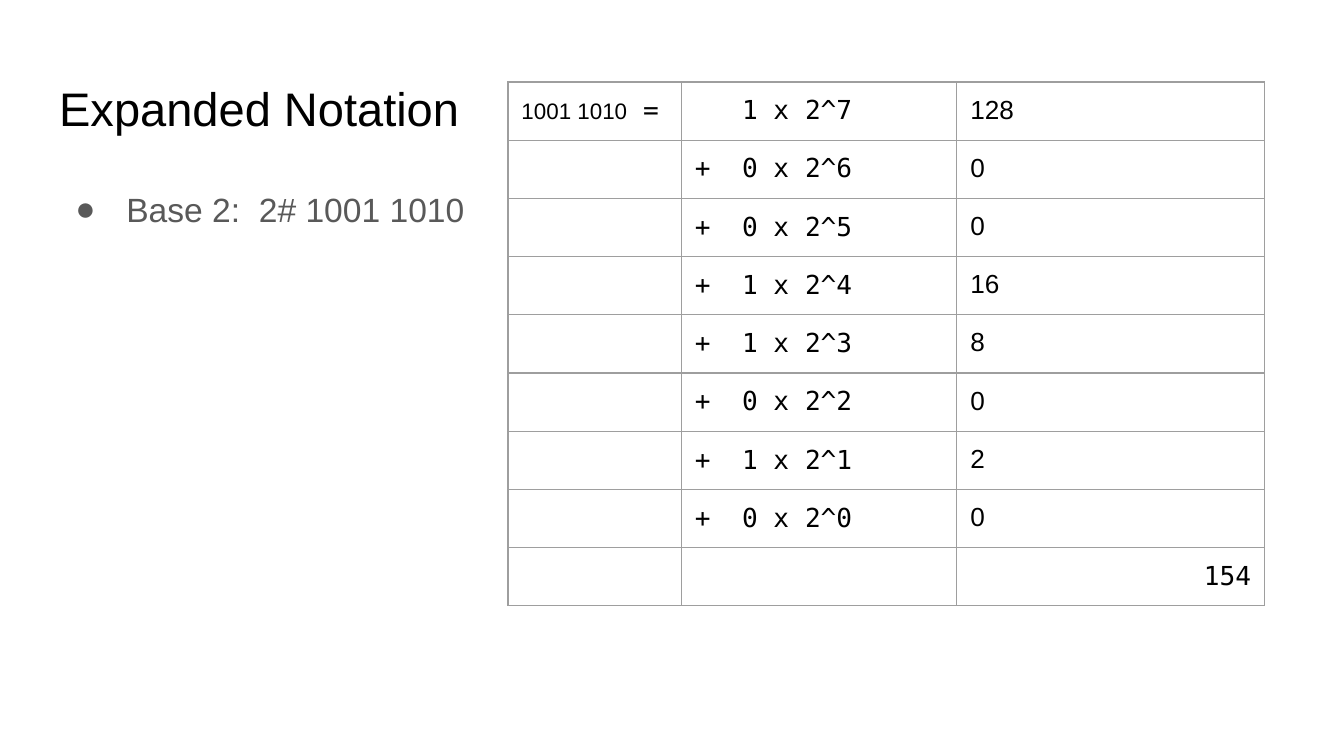
from lxml import etree
from pptx import Presentation
from pptx import util as u
from pptx.dml.color import RGBColor
from pptx.enum import text
from pptx.oxml import ns

BLACK = RGBColor(0x00, 0x00, 0x00)
GREY = RGBColor(0x59, 0x59, 0x59)
BORDER = RGBColor(0x9E, 0x9E, 0x9E)
SANS, MONO = "Arial", "DejaVu Sans Mono"
BITS = "10011010"
INSETS = {f"margin_{side}": u.Inches(0.1) for side in ("left", "top", "right", "bottom")}


def apply(obj, values):
    """Set each attribute of obj named in values."""
    for name, value in values.items():
        setattr(obj, name, value)


def sub(parent, tag, **attrs):
    """Append a DrawingML child element and return it."""
    return etree.SubElement(parent, ns.qn(f"a:{tag}"), attrs)


def add_run(p, words, font, size, color=BLACK):
    """Add a formatted run to paragraph p."""
    r = p.add_run()
    r.text = words
    apply(r.font, {"name": font, "size": u.Pt(size), "bold": False})
    r.font.color.rgb = color


def fill_placeholder(sp, box, words, size, color, spacing):
    """Place a text placeholder in box and return its formatted paragraph."""
    apply(sp, dict(zip(("left", "top", "width", "height"), map(u.Inches, box))))
    tf = sp.text_frame
    apply(tf, {**INSETS, "word_wrap": True, "auto_size": text.MSO_AUTO_SIZE.NONE,
               "vertical_anchor": text.MSO_ANCHOR.TOP})
    p = tf.paragraphs[0]
    apply(p, {"alignment": text.PP_ALIGN.LEFT, "line_spacing": spacing,
              "space_before": u.Pt(0), "space_after": u.Pt(0)})
    add_run(p, words, SANS, size, color)
    return p


def add_title(s, box):
    """Fill the title placeholder."""
    fill_placeholder(s.shapes.title, box, "Expanded Notation", 25.2, BLACK, 1.0)


def add_body(s, box):
    """Fill the body placeholder with its bulleted line."""
    p = fill_placeholder(s.placeholders[1], box, "Base 2:  2# 1001 1010", 18, GREY, 1.15)
    pPr = p._p.get_or_add_pPr()
    pPr.set("marL", str(u.Inches(0.5)))
    pPr.set("indent", str(u.Inches(-0.38)))
    sub(sub(pPr, "buClr"), "srgbClr", val=str(GREY))
    sub(pPr, "buFont", typeface=SANS)
    sub(pPr, "buChar", char="●")


def format_cell(cell, runs):
    """Give a cell its insets, borders and runs."""
    apply(cell, {**INSETS, "vertical_anchor": text.MSO_ANCHOR.TOP})
    tcPr = cell._tc.get_or_add_tcPr()
    for edge in ("lnL", "lnR", "lnT", "lnB"):
        ln = sub(tcPr, edge, w=str(u.Pt(0.75)))
        sub(sub(ln, "solidFill"), "srgbClr", val=str(BORDER))
    cell.fill.background()
    p = cell.text_frame.paragraphs[0]
    for run in runs:
        add_run(p, *run)
    if not runs:
        sub(sub(p._p, "endParaRPr", sz="1400"), "latin", typeface=SANS)


def expansion_rows():
    """Return the runs of each cell, one table row per bit and one for the total."""
    rows, total = [], 0
    for i, bit in enumerate(BITS):
        power = len(BITS) - 1 - i
        value = int(bit) * 2 ** power
        total += value
        label = [] if i else [("1001 1010", SANS, 12), (" =", MONO, 14)]
        term = f"{'+' if i else ' '}  {bit} x 2^{power}"
        rows.append([label, [(term, MONO, 14)], [(str(value), SANS, 14)]])
    return rows + [[[], [], [(str(total), MONO, 14)]]]


def add_expansion(s, left, top, widths, height):
    """Add the table that expands the binary number."""
    rows = expansion_rows()
    tbl = s.shapes.add_table(len(rows), len(widths), u.Inches(left), u.Inches(top),
                             u.Inches(sum(widths)), u.Inches(height)).table
    apply(tbl, {"first_row": False, "horz_banding": False})
    for col, width in zip(tbl.columns, widths):
        col.width = u.Inches(width)
    for row, cells in zip(tbl.rows, rows):
        row.height = u.Inches(height / len(rows))
        for cell, runs in zip(row.cells, cells):
            format_cell(cell, runs)
    total = tbl.cell(len(rows) - 1, len(widths) - 1)
    total.text_frame.paragraphs[0].alignment = text.PP_ALIGN.RIGHT


def main():
    """Build and save the slide."""
    prs = Presentation()
    apply(prs, {"slide_width": u.Inches(10), "slide_height": u.Inches(10 * 9 / 16)})
    s = prs.slides.add_slide(prs.slide_layouts[1])
    add_title(s, (0.34, 0.49, 9.32, 0.63))
    add_body(s, (0.34, 1.26, 9.32, 3.74))
    add_expansion(s, 3.78, 0.61, (1.29, 2.05, 2.29), 3.9)
    prs.save("out.pptx")


if __name__ == "__main__":
    main()
